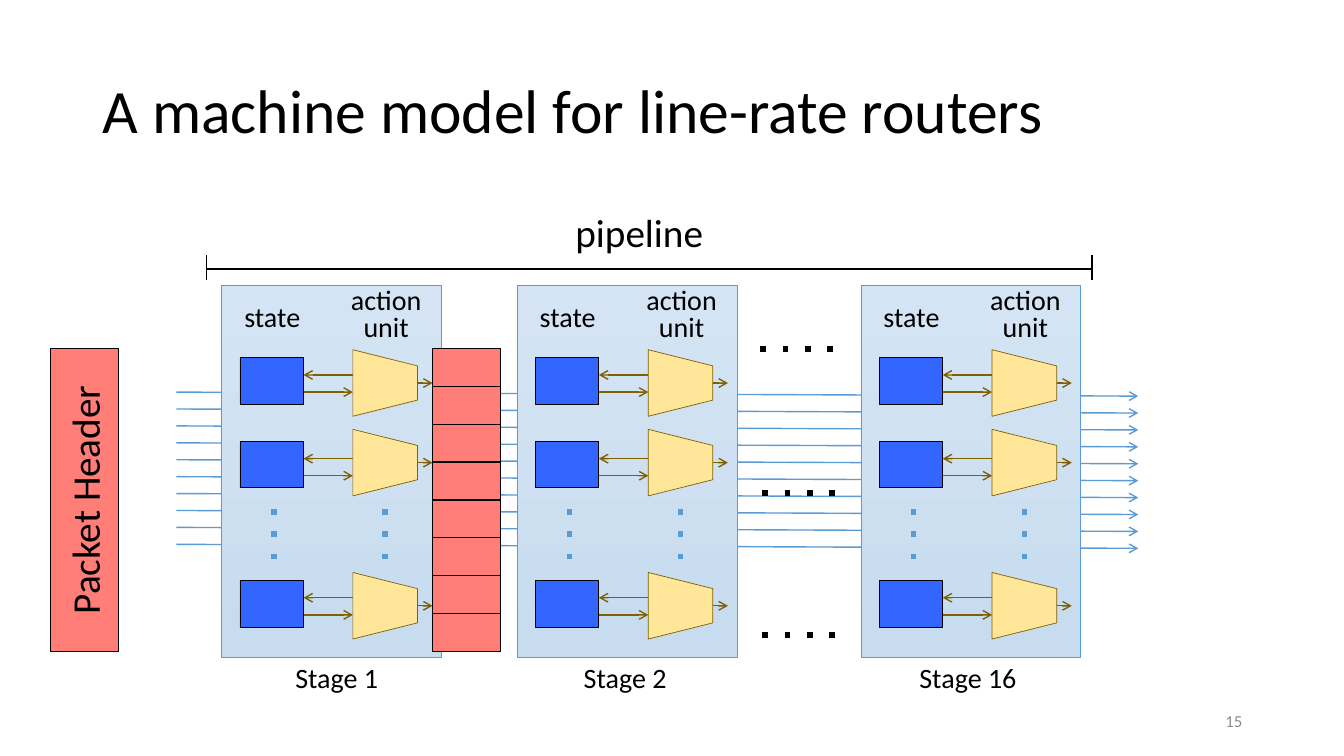
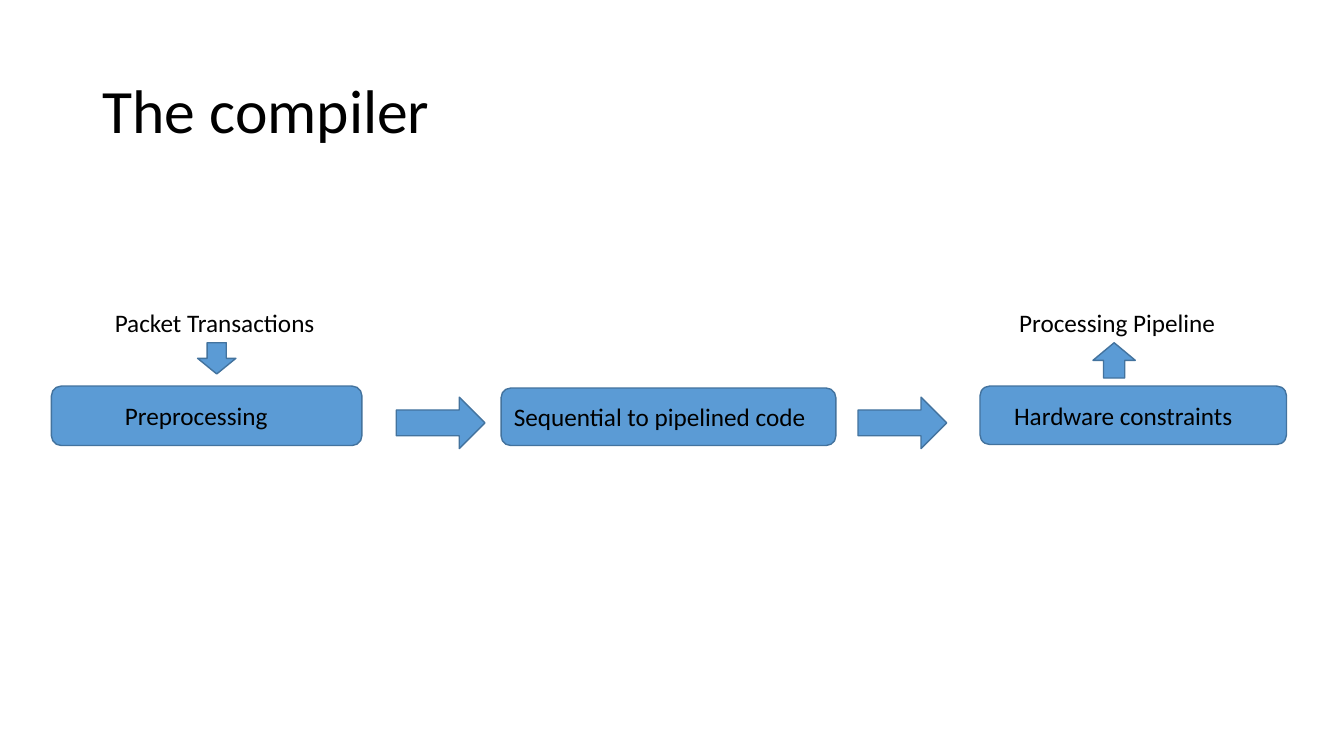
import pptx
import pptx.dml.color
import pptx.enum.shapes
import pptx.enum.text
import pptx.oxml
import pptx.oxml.ns
import pptx.util

COLUMNS, ROWS = 13.33, 7.5
CELL = pptx.util.Inches(1)
FONT = "Calibri"
COLORS = {
    "text": "000000", "page number": "8C8C8C", "accent": "5B9BD5", "accent edge": "43739E",
    "stage top": "D4E4F4", "stage bottom": "C7DCEF", "header": "FF7E77",
    "state": "3366FF", "action": "FFE699", "action edge": "806000",
}
KINDS = pptx.enum.shapes.MSO_SHAPE
ALIGN = pptx.enum.text.PP_ALIGN
MIDDLE = pptx.enum.text.MSO_ANCHOR.MIDDLE
CENTERED = {"alignment": ALIGN.CENTER}
TIGHT = {"alignment": ALIGN.CENTER, "line_spacing": 0.8}
WIDE_MARGINS = {"margin_left": 0.14 * CELL, "margin_right": 0.14 * CELL,
                "margin_top": 0.07 * CELL, "margin_bottom": 0.07 * CELL}


def add_box(slide, place, kind=None, fill=None, edge=None, edge_width=0.5, text="",
            size=18, color="text", frame_format=None, paragraph_format=None):
    """Add a preset shape, or a text box if no kind is given; place is in grid cells."""
    position = [round(value * CELL) for value in place]
    if kind is None:
        shape = slide.shapes.add_textbox(*position)
    else:
        shape = slide.shapes.add_shape(kind, *position)
        shape.shadow.inherit = False
        shape.line.color.rgb = pptx.dml.color.RGBColor.from_string(COLORS[edge])
        shape.line.width = pptx.util.Pt(edge_width)
        if fill:
            shape.fill.solid()
            shape.fill.fore_color.rgb = pptx.dml.color.RGBColor.from_string(COLORS[fill])
    if text:
        frame = shape.text_frame
        frame.word_wrap = True
        for name, value in (frame_format or {}).items():
            setattr(frame, name, round(value) if name.startswith("margin") else value)
        paragraph = frame.paragraphs[0]
        paragraph.text = text
        for name, value in (paragraph_format or {}).items():
            setattr(paragraph, name, value)
        for name, value in {"name": FONT, "size": pptx.util.Pt(size)}.items():
            setattr(paragraph.font, name, value)
        paragraph.font.color.rgb = pptx.dml.color.RGBColor.from_string(COLORS[color])
    return shape


def add_line(slide, start, end, color="text", width=1, dotted=False, arrow=False):
    connector = slide.shapes.add_connector(
        pptx.enum.shapes.MSO_CONNECTOR.STRAIGHT,
        *[round(value * CELL) for value in (*start, *end)])
    connector.line.color.rgb = pptx.dml.color.RGBColor.from_string(COLORS[color])
    connector.line.width = pptx.util.Pt(width)
    properties = connector.element.spPr
    outline = properties.find(pptx.oxml.ns.qn("a:ln"))
    namespace = pptx.oxml.ns.nsdecls("a")
    if dotted:
        outline.append(pptx.oxml.parse_xml(f'<a:prstDash {namespace} val="dot"/>'))
    if arrow:
        outline.append(pptx.oxml.parse_xml(f'<a:tailEnd {namespace} type="arrow"/>'))
    properties.append(pptx.oxml.parse_xml(f"<a:effectLst {namespace}/>"))


presentation = pptx.Presentation()
presentation.slide_width = round(COLUMNS * CELL)
presentation.slide_height = round(ROWS * CELL)
slides = []
for title in ("A machine model for line-rate routers", "The compiler"):
    slide = presentation.slides.add_slide(presentation.slide_layouts[6])
    add_box(slide, (0.92, 0.4, 11.5, 1.45), text=title, size=44,
            frame_format={"vertical_anchor": MIDDLE}, paragraph_format={"line_spacing": 0.9})
    slides.append(slide)
router_slide, compiler_slide = slides

# Router slide: wires, gaps between stages and the pipeline bracket
add_box(router_slide, (9.42, 6.95, 3, 0.4), text="15", size=12, color="page number",
        frame_format={"vertical_anchor": MIDDLE}, paragraph_format={"alignment": ALIGN.RIGHT})

WIRES, FIRST_WIRE, LAST_WIRE = 10, 3.89, 5.4
for index in range(WIRES):
    y = FIRST_WIRE + index * (LAST_WIRE - FIRST_WIRE) / (WIRES - 1)
    add_line(router_slide, (1.75, y), (11.29, y + 0.04), "accent", arrow=True)

for x, y in ((7.54, 3.46), (7.56, 4.89), (7.56, 6.3)):
    add_line(router_slide, (x, y), (x + 0.86, y), width=4, dotted=True)

BRACKET_LEFT, BRACKET_RIGHT = 2.05, 10.83
for x in (BRACKET_LEFT, BRACKET_RIGHT):
    add_line(router_slide, (x, 2.53), (x, 2.78))
add_line(router_slide, (BRACKET_LEFT, 2.67), (BRACKET_RIGHT, 2.67))
add_box(router_slide, (4.89, 2, 2.9, 0.62), text="pipeline", size=28,
        frame_format=WIDE_MARGINS, paragraph_format=CENTERED)

# Stages: three rows of a state box and an action unit each
STAGE_TOP, STAGE_WIDTH, STAGE_HEIGHT = 2.83, 2.18, 3.69
STATE_WIDTH, STATE_HEIGHT = 0.63, 0.46
ACTION_LENGTH, ACTION_HEIGHT = 0.64, 0.66
UNIT_ROWS = ((3.55, 3.8), (4.38, 4.59), (5.76, 6.01))  # state top, action middle
for left, label_left, label in ((2.2, 2.83, "Stage 1"), (5.13, 5.69, "Stage 2"),
                                (8.54, 9.02, "Stage 16")):
    stage = add_box(router_slide, (left, STAGE_TOP, STAGE_WIDTH, STAGE_HEIGHT),
                    KINDS.RECTANGLE, edge="accent")
    stage.fill.gradient()
    stage.fill.gradient_angle = 270
    for stop, color in zip(stage.fill.gradient_stops, ("stage top", "stage bottom")):
        stop.color.rgb = pptx.dml.color.RGBColor.from_string(COLORS[color])
    add_box(router_slide, (label_left, 6.5, 1.28, 0.44), text=label, size=20)
    add_box(router_slide, (left - 0.06, 2.97, 1.12, 0.42), text="state", size=20,
            frame_format=WIDE_MARGINS, paragraph_format=TIGHT)
    add_box(router_slide, (left + 1.09, 2.8, 1.08, 0.69), text="action unit", size=20,
            frame_format=WIDE_MARGINS, paragraph_format=TIGHT)

    state_left, action_middle = left + 0.18, left + 1.62
    state_right = state_left + STATE_WIDTH
    action_left = action_middle - ACTION_LENGTH / 2
    action_right = action_left + ACTION_LENGTH
    for state_top, middle in UNIT_ROWS:
        add_line(router_slide, (state_right, state_top + 0.34), (action_left, state_top + 0.34),
                 "action edge", arrow=True)
        add_line(router_slide, (action_left, state_top + 0.17), (state_right, state_top + 0.17),
                 "action edge", arrow=True)
        add_line(router_slide, (action_right, middle), (action_right + 0.15, middle),
                 "action edge", arrow=True)
        add_box(router_slide, (state_left, state_top, STATE_WIDTH, STATE_HEIGHT),
                KINDS.RECTANGLE, "state", "text")
        action = add_box(router_slide,
                         (action_middle - ACTION_HEIGHT / 2, middle - ACTION_LENGTH / 2,
                          ACTION_HEIGHT, ACTION_LENGTH),
                         KINDS.TRAPEZOID, "action", "action edge")
        action.rotation = 90
    for x in (left + 0.52, action_middle):
        add_line(router_slide, (x, 5.05), (x, 5.59), "accent", 4, dotted=True)

# Packet header, waiting and split into fields
HEADER_TOP, HEADER_WIDTH, HEADER_HEIGHT, FIELDS = 3.46, 0.67, 3, 8
FIELDS_LEFT = 4.29
header = add_box(router_slide, (0.5, HEADER_TOP, HEADER_WIDTH, HEADER_HEIGHT),
                 KINDS.RECTANGLE, "header", "text", text="Packet Header", size=28,
                 frame_format={"vertical_anchor": MIDDLE}, paragraph_format=CENTERED)
header.element.txBody.bodyPr.set("vert", "vert270")
add_box(router_slide, (FIELDS_LEFT, HEADER_TOP, HEADER_WIDTH, HEADER_HEIGHT),
        KINDS.RECTANGLE, "header", "text")
for field in range(1, FIELDS):
    y = HEADER_TOP + field * HEADER_HEIGHT / FIELDS
    add_line(router_slide, (FIELDS_LEFT, y), (FIELDS_LEFT + HEADER_WIDTH, y))

# Compiler slide: steps, arrows, input and output
for place, text_indent, text in (
        ((0.51, 3.83, 3.08, 0.59), 0.7, "Preprocessing"),
        ((4.97, 3.85, 3.32, 0.57), 0.1, "Sequential to pipelined code"),
        ((9.72, 3.83, 3.04, 0.58), 0.31, "Hardware constraints")):
    add_box(compiler_slide, place, KINDS.ROUNDED_RECTANGLE, "accent", "accent edge", 1, text,
            frame_format={"vertical_anchor": MIDDLE, "margin_left": text_indent * CELL,
                          "margin_right": 0},
            paragraph_format={"alignment": ALIGN.LEFT})

for kind, place in ((KINDS.DOWN_ARROW, (1.96, 3.4, 0.38, 0.31)),
                    (KINDS.RIGHT_ARROW, (3.93, 3.94, 0.88, 0.51)),
                    (KINDS.RIGHT_ARROW, (8.51, 3.94, 0.88, 0.51)),
                    (KINDS.UP_ARROW, (10.84, 3.4, 0.42, 0.35))):
    add_box(compiler_slide, place, kind, "accent", "accent edge", 1)

for left, text in ((1.04, "Packet Transactions"), (10.01, "Processing Pipeline")):
    add_box(compiler_slide, (left, 3, 2.74, 0.4), text=text)

presentation.save("out.pptx")
